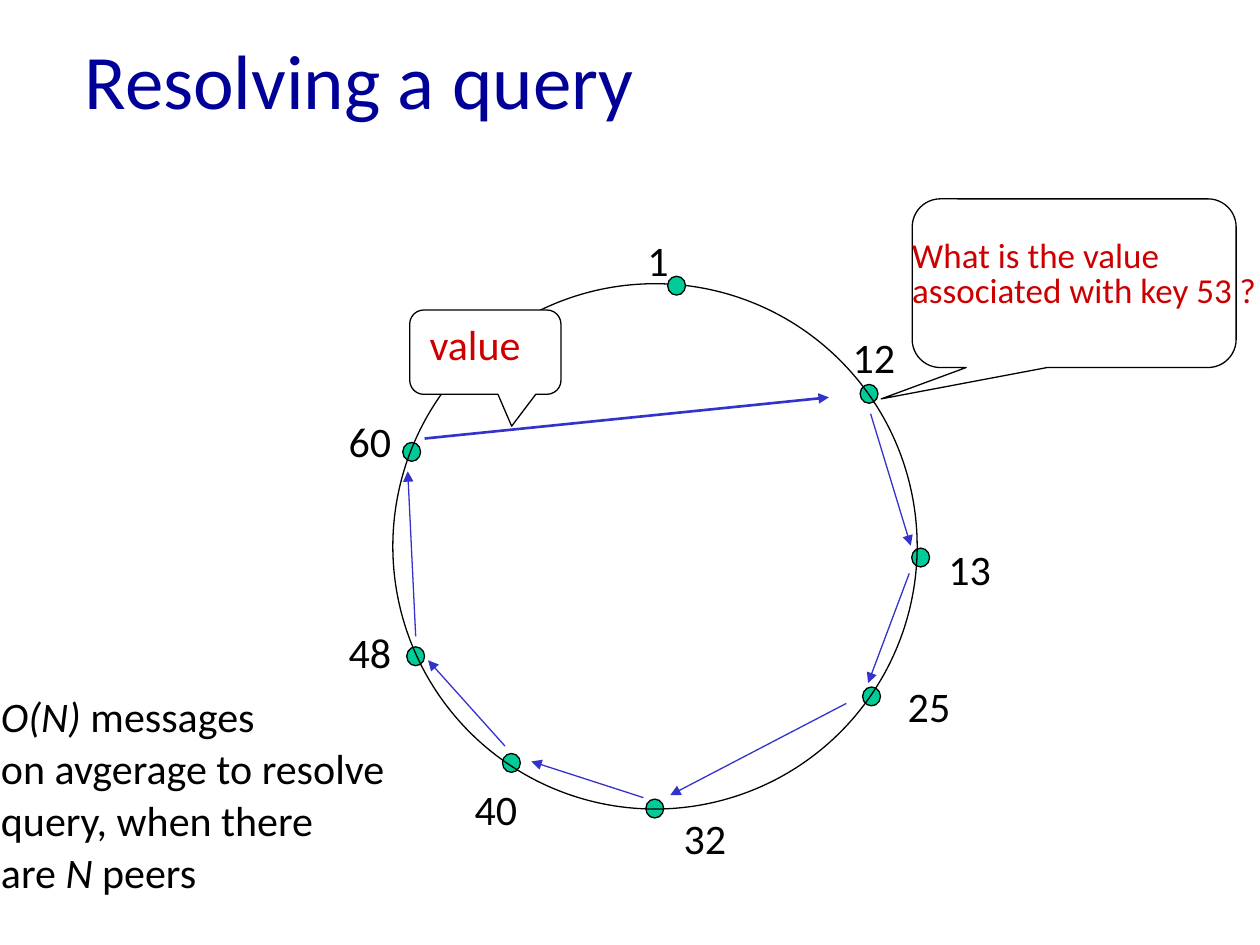
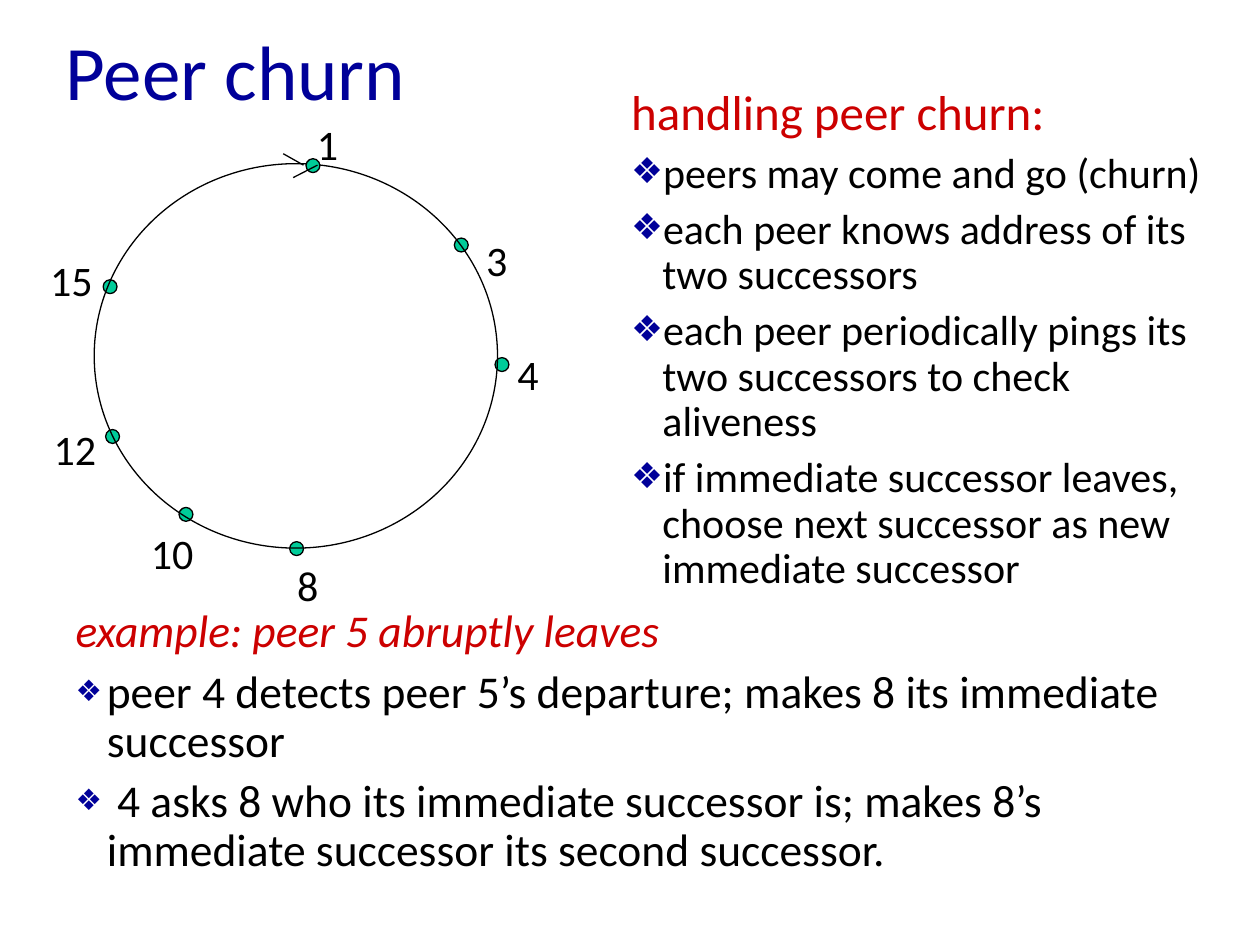
from lxml import etree
from pptx import Presentation
from pptx.dml.color import RGBColor
from pptx.enum.shapes import MSO_CONNECTOR, MSO_SHAPE
from pptx.enum.text import MSO_ANCHOR, MSO_AUTO_SIZE, PP_ALIGN
from pptx.oxml.ns import qn
from pptx.util import Cm, Pt

OVAL = MSO_SHAPE.OVAL
BUBBLE = MSO_SHAPE.ROUNDED_RECTANGULAR_CALLOUT
STRAIGHT = MSO_CONNECTOR.STRAIGHT
LEFT = PP_ALIGN.LEFT
MIDDLE = MSO_ANCHOR.MIDDLE
FIXED = MSO_AUTO_SIZE.NONE

FONT = "Calibri"
HUE = {"title": "000099", "text": "000000", "alert": "CC0000",
       "peer": "00CC99", "hop": "3333CC", "paper": "FFFFFF"}
THIN = 0.75
HANG = Cm(0.63)

# Peers: name, centre of the dot, corner of the label, from the ring's corner
QUERY = [("1", 5.72, 0.04, 4.88, -1.12), ("12", 9.6, 2.22, 9.02, 0.84),
         ("13", 10.64, 5.52, 10.95, 5.11), ("25", 9.65, 8.32, 10.13, 7.87),
         ("32", 5.28, 10.58, 5.61, 10.54), ("40", 2.39, 9.66, 1.4, 9.96),
         ("48", 0.46, 7.51, -1.14, 6.78), ("60", 0.38, 3.39, -1.14, 2.54)]
CHURN = [("1", 4.41, 0.04, 4.24, -1.04), ("3", 7.4, 1.64, 7.65, 1.3),
         ("4", 8.22, 4.05, 8.28, 3.61), ("8", 4.08, 7.76, 3.84, 7.85),
         ("10", 1.85, 7.07, 0.89, 7.21), ("12", 0.37, 5.5, -1.07, 5.11),
         ("15", 0.32, 2.48, -1.14, 1.7)]

# Lines: start and end, from the ring's corner
HOPS = [(9.63, 2.62, 10.44, 5.28), (10.41, 5.84, 9.58, 8.05),
        (9.14, 8.46, 5.59, 10.31), (5.05, 10.36, 2.79, 9.63),
        (2.26, 9.32, 0.71, 7.59), (0.46, 7.11, 0.3, 3.78)]
REPLY = (0.64, 3.12, 8.79, 2.29)
TICKS = [(3.81, -0.2, 4.22, 0.03), (4.5, 0.03, 4.01, 0.28)]

RULES = ["peers may come and go (churn)",
         "each peer knows address of its two successors",
         "each peer periodically pings its two successors to check aliveness",
         "if immediate successor leaves, choose next successor as new "
         "immediate successor"]
STEPS = ["peer 4 detects peer 5’s departure; makes 8 its immediate successor",
         " 4 asks 8 who its immediate successor is; makes 8’s immediate "
         "successor its second successor."]


def paint(name):
    return RGBColor.from_string(HUE[name])


def mark(para, scale):
    """Set a diamond bullet of the given percent, or none."""
    props = para._p.get_or_add_pPr()
    props.set("marL", str(HANG if scale else 0))
    props.set("indent", str(-HANG if scale else 0))
    if not scale:
        etree.SubElement(props, qn("a:buNone"))
        return
    tint = etree.SubElement(props, qn("a:buClr"))
    etree.SubElement(tint, qn("a:srgbClr")).set("val", HUE["title"])
    etree.SubElement(props, qn("a:buSzPct")).set("val", str(scale * 1000))
    etree.SubElement(props, qn("a:buChar")).set("char", "❖")


def write(frame, text, size=24, color="text", slant=False, space=0,
          line=None, scale=None):
    """Add a paragraph; text is a string or a list of (string, italic)."""
    first = frame.paragraphs[0]
    para = frame.add_paragraph() if first.runs else first
    mark(para, scale)
    para.alignment = LEFT
    para.space_before = Pt(space)
    if line:
        para.line_spacing = line
    for part, lean in ([(text, slant)] if isinstance(text, str) else text):
        for row, words in enumerate(part.split("\n")):
            if row:
                para.add_line_break()
            run = para.add_run()
            run.text = words
            run.font.name = FONT
            run.font.size = Pt(size)
            run.font.italic = lean
            run.font.color.rgb = paint(color)


def area(slide, box, wrap=True):
    frame = slide.shapes.add_textbox(*map(Cm, box)).text_frame
    frame.word_wrap = wrap
    frame.auto_size = FIXED
    return frame


def holder(slide, index, box):
    """Move a placeholder and return its text frame."""
    shape = slide.placeholders[index]
    shape.left, shape.top, shape.width, shape.height = map(Cm, box)
    shape.text_frame.auto_size = FIXED
    return shape.text_frame


def title(slide, text, box):
    frame = holder(slide, 0, box)
    frame.vertical_anchor = MIDDLE
    write(frame, text, size=44, color="title")


def form(slide, kind, box, fill=None):
    shape = slide.shapes.add_shape(kind, *map(Cm, box))
    shape.shadow.inherit = False
    if fill:
        shape.fill.solid()
        shape.fill.fore_color.rgb = paint(fill)
    else:
        shape.fill.background()
    shape.line.color.rgb = paint("text")
    shape.line.width = Pt(THIN)
    return shape


def link(slide, box, ends, color="hop", width=THIN, arrow=True):
    """Draw a line whose ends count from the corner of the box."""
    x, y = box[:2]
    x1, y1, x2, y2 = ends
    wire = slide.shapes.add_connector(
        STRAIGHT, Cm(x + x1), Cm(y + y1), Cm(x + x2), Cm(y + y2))
    wire.line.color.rgb = paint(color)
    wire.line.width = Pt(width)
    if arrow:
        stroke = wire.line._get_or_add_ln()
        etree.SubElement(stroke, qn("a:tailEnd")).set("type", "triangle")
    etree.SubElement(wire._element.spPr, qn("a:effectLst"))


def ring(slide, box, peers, wide, high):
    """Draw the circle of peers; the first dot lies on top of the circle."""
    x, y = box[:2]

    def dot(peer):
        form(slide, OVAL, (x + peer[1] - wide / 2, y + peer[2] - high / 2,
                           wide, high), "peer")

    for peer in peers[1:]:
        dot(peer)
    form(slide, OVAL, box)
    for name, _, _, dx, dy in peers:
        spot = (x + dx, y + dy, 0.51 + 0.43 * len(name), 1.27)
        write(area(slide, spot, wrap=False), name)
    dot(peers[0])


def speech(slide, box, tip, inner, text, fill=None, **style):
    """Draw a callout; its text box counts from the callout's corner."""
    bubble = form(slide, BUBBLE, box, fill)
    bubble.adjustments[0], bubble.adjustments[1] = tip
    dx, dy, wide, high = inner
    frame = area(slide, (box[0] + dx, box[1] + dy, wide, high), wrap=False)
    write(frame, text, color="alert", **style)


def points(frame, head, items, look, **style):
    """Fill a frame with a red heading and a bulleted list."""
    write(frame, head, color="alert", **look)
    for item in items:
        write(frame, item, **style)


def query(deck):
    slide = deck.slides.add_slide(deck.slide_layouts[5])
    title(slide, "Resolving a query", (1.45, 0, 21.59, 3.18))

    # Ring and the path of the query
    box = (7.92, 5.72, 10.57, 10.59)
    ring(slide, box, QUERY, 0.36, 0.38)
    for hop in HOPS:
        link(slide, box, hop)
    link(slide, box, REPLY, width=1.5)

    # Question and answer
    speech(slide, (18.39, 4.01, 6.53, 3.4), (-0.596, 0.686),
           (-0.25, 0.71, 7.47, 1.68),
           "What is the value\nassociated with key 53 ?", size=20, line=Pt(20))
    speech(slide, (8.26, 6.25, 3.05, 1.7), (0.174, 0.878),
           (0.15, 0.05, 3.61, 1.27), "value", fill="paper")

    # Cost of a query
    note = area(slide, (-0.23, 13.97, 9.6, 4.24), wrap=False)
    for text in ([("O(N) ", True), ("messages", False)],
                 "on avgerage to resolve", "query, when there",
                 [("are ", False), ("N", True), (" peers", False)]):
        write(note, text, line=Pt(23.7), space=6 if note.text else 0)


def churn(deck):
    slide = deck.slides.add_slide(deck.slide_layouts[3])
    title(slide, "Peer churn", (1.07, 0, 22.86, 2.82))

    # Example below the ring
    points(holder(slide, 1, (1.27, 12.14, 22.86, 5.92)),
           "example: peer 5 abruptly leaves", STEPS,
           {"size": 26, "slant": True, "line": 0.9},
           size=26, line=0.9, space=6.5, scale=65)

    # Ring with an arrow tip at peer 1
    box = (1.9, 3.3, 8.13, 7.75)
    ring(slide, box, CHURN, 0.28, 0.28)
    for tick in TICKS:
        link(slide, box, tick, color="text", arrow=False)

    # Rules on the right
    points(holder(slide, 2, (12.47, 1.52, 12.29, 14.53)),
           "handling peer churn:", RULES, {"size": 28},
           line=Pt(26), space=6, scale=85)


def main():
    deck = Presentation()
    deck.slide_width, deck.slide_height = Cm(25.4), Cm(19.05)
    query(deck)
    churn(deck)
    deck.save("out.pptx")


if __name__ == "__main__":
    main()
